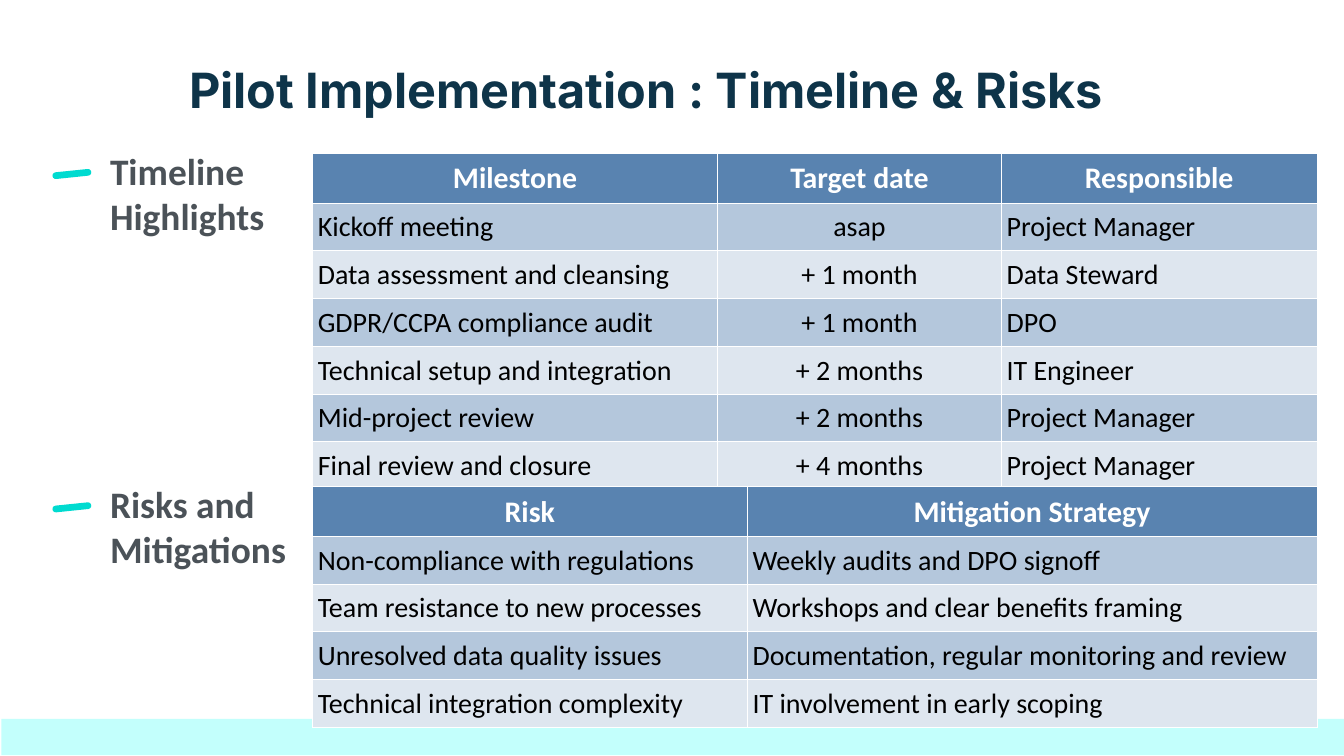
"""Build the pilot timeline and risks slide."""
from lxml import etree
from pptx import Presentation
from pptx.dml.color import RGBColor as RGB
from pptx.enum.shapes import MSO_SHAPE as Shape
from pptx.enum.text import MSO_ANCHOR as Anchor, PP_ALIGN as Align
from pptx.oxml.ns import qn
from pptx.util import Inches, Pt

COLORS = {
    "title": "0E3449", "heading": "4B5258", "dash": "00DBD0", "footer": "C3FFFC",
    "header": "5983B0", "dark_row": "B4C7DC", "light_row": "DEE6EF",
    "white": "FFFFFF", "black": "000000",
}
deck = Presentation()
deck.slide_width, deck.slide_height = Inches(10), Inches(10 * 9 / 16)
COL, ROW = deck.slide_width / 100, deck.slide_height / 100
slide = deck.slides.add_slide(deck.slide_layouts[6])


def place(x, y, w, h):
    return int(x * COL), int(y * ROW), int(w * COL), int(h * ROW)


def write(paragraph, text, size, font, color, bold):
    for number, line in enumerate(text.split("\n")):
        if number:
            paragraph.add_line_break()
        run = paragraph.add_run()
        run.text = line
        run.font.size, run.font.name, run.font.bold = Pt(size), font, bold
        run.font.color.rgb = RGB.from_string(COLORS[color])


SECTION_TOP, SECTION_PITCH = 17.78, 44.09
HEADER_HEIGHT, BODY_HEIGHT = 6.22, 5.87
sections = [
    ("Timeline\nHighlights", 15.2, 16.36, [30.15, 21.1, 23.5], {1}, [
        ("Milestone", "Target date", "Responsible"),
        ("Kickoff meeting", "asap", "Project Manager"),
        ("Data assessment and cleansing", "+ 1 month", "Data Steward"),
        ("GDPR/CCPA compliance audit", "+ 1 month", "DPO"),
        ("Technical setup and integration", "+ 2 months", "IT Engineer"),
        ("Mid-project review", "+ 2 months", "Project Manager"),
        ("Final review and closure", "+ 4 months", "Project Manager"),
    ]),
    ("Risks and\nMitigations", 15.8, 15.82, [32.35, 42.4], set(), [
        ("Risk", "Mitigation Strategy"),
        ("Non-compliance with regulations", "Weekly audits and DPO signoff"),
        ("Team resistance to new processes", "Workshops and clear benefits framing"),
        ("Unresolved data quality issues", "Documentation, regular monitoring and review"),
        ("Technical integration complexity", "IT involvement in early scoping"),
    ]),
]
tops = [SECTION_TOP + SECTION_PITCH * number for number in range(len(sections))]

bars = [(Shape.RECTANGLE, (0.1, 95.1, 100, 4.8), "footer", 0)]
bars += [(Shape.ROUNDED_RECTANGLE, (3.9, top + 4.8, 2.9, 0.89), "dash", 354.1) for top in tops]
for preset, box, color, angle in bars:
    bar = slide.shapes.add_shape(preset, *place(*box))
    bar.shadow.inherit = False
    bar.fill.solid()
    bar.fill.fore_color.rgb = RGB.from_string(COLORS[color])
    bar.line.fill.background()
    bar.rotation = angle
    if preset == Shape.ROUNDED_RECTANGLE:
        bar.adjustments[0] = 0.5

labels = [("Pilot Implementation : Timeline & Risks", (13.1, 6.22, 82.6, 12.09), 26, "Inter", "title")]
labels += [(heading, (7.2, top, width, height), 20, "Calibri", "heading")
           for top, (heading, width, height, *_) in zip(tops, sections)]
for text, box, size, font, color in labels:
    frame = slide.shapes.add_textbox(*place(*box)).text_frame
    frame.word_wrap = True
    frame.vertical_anchor = Anchor.TOP
    frame.margin_left = frame.margin_right = Inches(0.1)
    frame.margin_top = frame.margin_bottom = Inches(0.1)
    write(frame.paragraphs[0], text, size, font, color, True)

for top, (_, _, _, widths, centred, rows) in zip(tops, sections):
    heights = [HEADER_HEIGHT] + [BODY_HEIGHT] * (len(rows) - 1)
    grid = slide.shapes.add_table(
        len(rows), len(widths), *place(23.25, top + 2.49, sum(widths), sum(heights))).table
    grid.first_row = grid.horz_banding = False
    for column, width in zip(grid.columns, widths):
        column.width = int(width * COL)
    for r, (values, height) in enumerate(zip(rows, heights)):
        grid.rows[r].height = int(height * ROW)
        header = r == 0
        fill = "header" if header else "dark_row" if r % 2 else "light_row"
        for c, value in enumerate(values):
            cell = grid.cell(r, c)
            cell.margin_left = cell.margin_right = Inches(0.04)
            cell.margin_top = cell.margin_bottom = Pt(3.78)
            cell.fill.solid()
            cell.fill.fore_color.rgb = RGB.from_string(COLORS[fill])
            paragraph = cell.text_frame.paragraphs[0]
            paragraph.alignment = Align.CENTER if header or c in centred else Align.LEFT
            write(paragraph, value, 16 if header else 15, "Calibri",
                  "white" if header else "black", header)
            properties = cell._tc.get_or_add_tcPr()
            for position, side in enumerate(("lnL", "lnR", "lnT", "lnB")):
                border = etree.Element(qn(f"a:{side}"), w=str(int(Pt(0.57))))
                solid = etree.SubElement(border, qn("a:solidFill"))
                etree.SubElement(solid, qn("a:srgbClr"), val=COLORS["white"])
                properties.insert(position, border)

deck.save("out.pptx")
